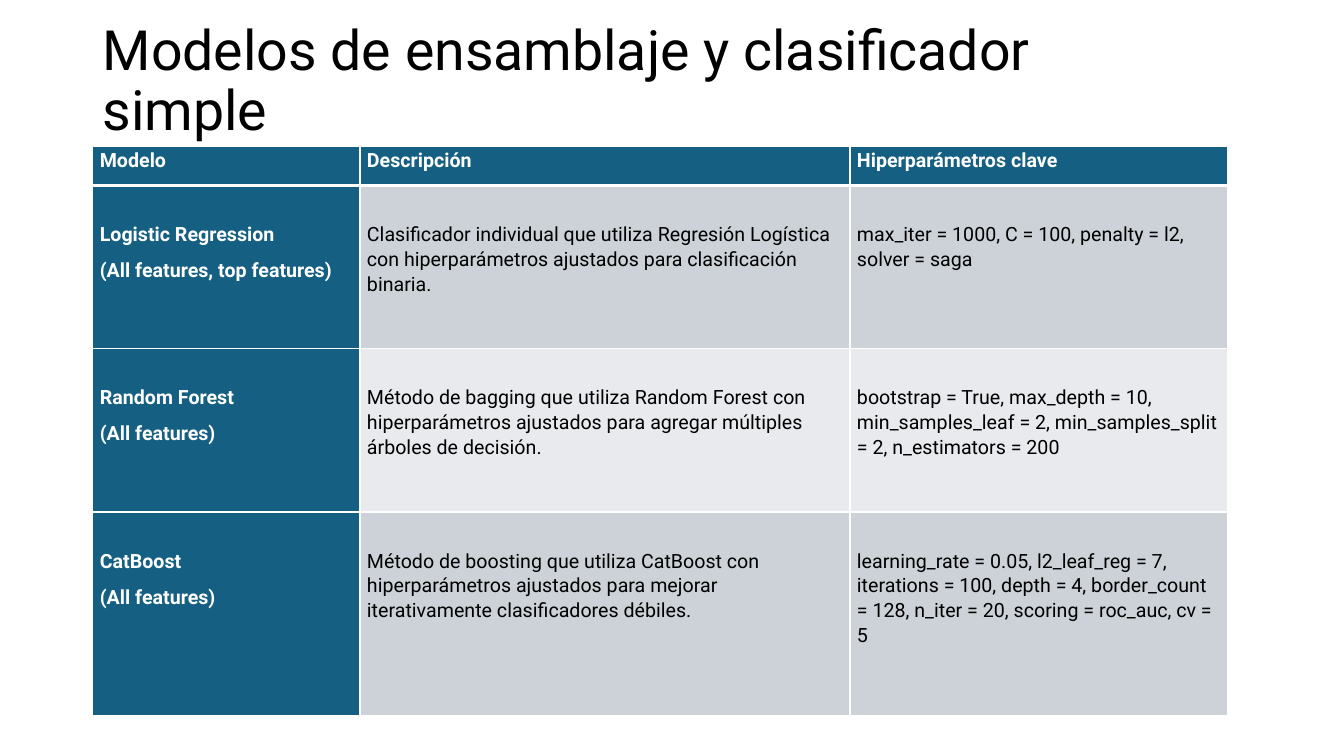
import pptx
import pptx.util
import pptx.dml.color
import pptx.enum.text
import pptx.oxml
import pptx.oxml.ns
from pptx.util import Inches

FONT = "Roboto"
WHITE, BLACK, TEAL = "FFFFFF", "000000", "156082"
BANDS = ["CCD2D8", "E8EAED"]

COL_WIDTHS = [2.65, 4.86, 3.75]
ROW_HEIGHTS = [0.39, 1.62, 1.62, 2.02]
ROWS = [
    (["Modelo"], ["Descripción"], ["Hiperparámetros clave"]),
    (["Logistic Regression", "(All features, top features)"],
     ["Clasificador individual que utiliza Regresión Logística con "
      "hiperparámetros ajustados para clasificación binaria."],
     ["max_iter = 1000, C = 100, penalty = l2, solver = saga"]),
    (["Random Forest", "(All features)"],
     ["Método de bagging que utiliza Random Forest con hiperparámetros "
      "ajustados para agregar múltiples árboles de decisión."],
     ["bootstrap = True, max_depth = 10, min_samples_leaf = 2, "
      "min_samples_split = 2, n_estimators = 200"]),
    (["CatBoost", "(All features)"],
     ["Método de boosting que utiliza CatBoost con hiperparámetros "
      "ajustados para mejorar iterativamente clasificadores débiles."],
     ["learning_rate = 0.05, l2_leaf_reg = 7, iterations = 100, depth = 4, "
      "border_count = 128, n_iter = 20, scoring = roc_auc, cv = 5"]),
]


def rgb(color):
    return pptx.dml.color.RGBColor.from_string(color)


def add_run(p, text, size, color, bold=False):
    r = p.add_run()
    r.text = text
    r.font.name = FONT
    r.font.size = pptx.util.Pt(size)
    r.font.bold = bold
    r.font.color.rgb = rgb(color)


def add_title(slide, text):
    sp = slide.shapes.add_textbox(Inches(0.92), Inches(0.4), Inches(10.67), Inches(0.83))
    tf = sp.text_frame
    tf.word_wrap = True
    tf.vertical_anchor = pptx.enum.text.MSO_ANCHOR.MIDDLE
    p = tf.paragraphs[0]
    p.line_spacing = 0.9
    add_run(p, text, 39.6, BLACK)


def set_borders(cell, bottom):
    tc_pr = cell._tc.get_or_add_tcPr()
    for side, width in (("L", 1), ("R", 1), ("T", 1), ("B", bottom)):
        tc_pr.append(pptx.oxml.parse_xml(
            f'<a:ln{side} {pptx.oxml.ns.nsdecls("a")} w="{pptx.util.Pt(width)}">'
            f'<a:solidFill><a:srgbClr val="{WHITE}"/></a:solidFill></a:ln{side}>'))


def fill_cell(cell, lines, fill, color, bold, top, bottom_border):
    set_borders(cell, bottom_border)
    cell.fill.solid()
    cell.fill.fore_color.rgb = rgb(fill)
    cell.margin_left = cell.margin_right = Inches(0.07)
    cell.margin_top, cell.margin_bottom = Inches(top), Inches(0)
    tf = cell.text_frame
    for i, line in enumerate(lines):
        p = tf.add_paragraph() if i else tf.paragraphs[0]
        p.line_spacing = 1.07
        p.space_after = pptx.util.Pt(8)
        add_run(p, line, 14, color, bold)


def add_model_table(slide):
    table = slide.shapes.add_table(
        len(ROWS), len(COL_WIDTHS), Inches(0.92), Inches(1.45),
        Inches(sum(COL_WIDTHS)), Inches(sum(ROW_HEIGHTS))).table
    table.first_col = True
    for column, width in zip(table.columns, COL_WIDTHS):
        column.width = Inches(width)
    for row, height in zip(table.rows, ROW_HEIGHTS):
        row.height = Inches(height)
    for i, texts in enumerate(ROWS):
        for j, lines in enumerate(texts):
            heading = i == 0 or j == 0
            fill_cell(table.cell(i, j), lines,
                      fill=TEAL if heading else BANDS[(i - 1) % 2],
                      color=WHITE if heading else BLACK,
                      bold=heading,
                      top=0.36 if i else 0.01,
                      bottom_border=1 if i else 3)


def main():
    prs = pptx.Presentation()
    prs.slide_width, prs.slide_height = Inches(13.33), Inches(7.5)
    slide = prs.slides.add_slide(prs.slide_layouts[6])
    add_title(slide, "Modelos de ensamblaje y clasificador simple")
    add_model_table(slide)
    prs.save("out.pptx")


if __name__ == "__main__":
    main()
